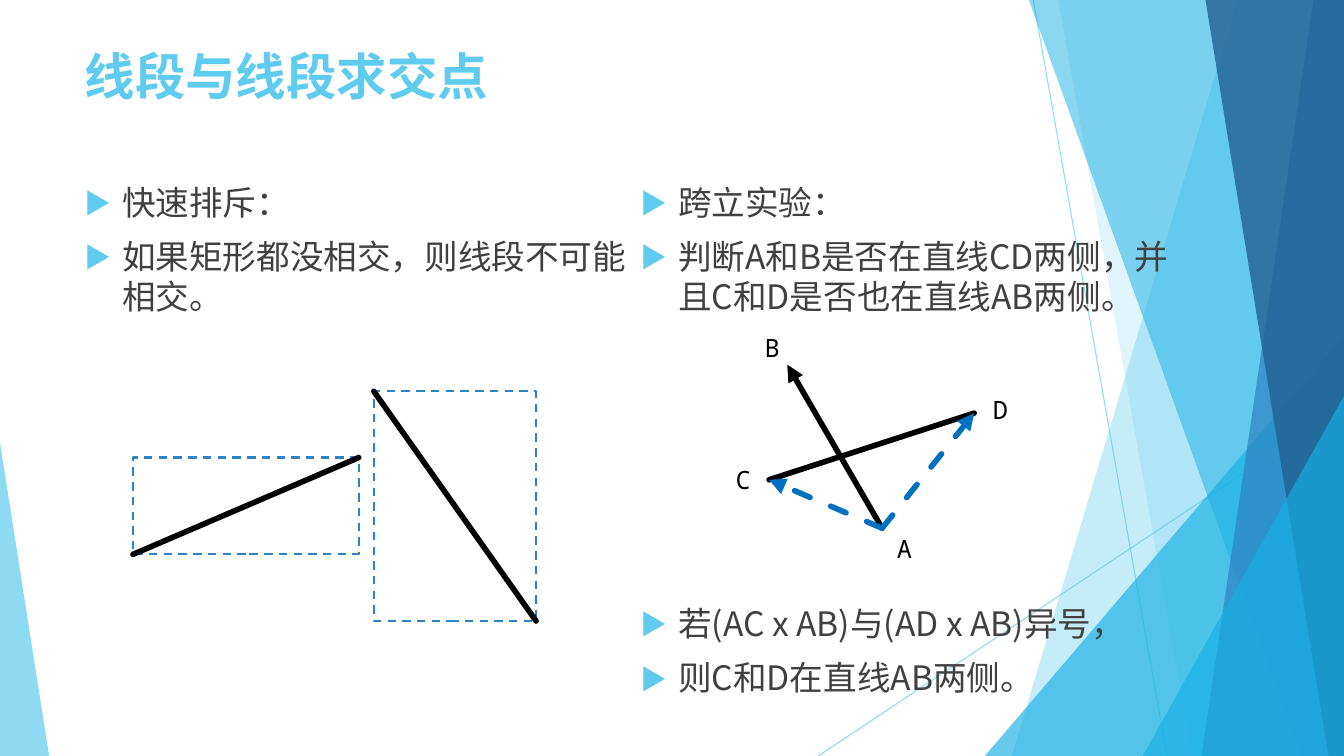
from dataclasses import dataclass

from lxml.etree import SubElement
from pptx import Presentation
from pptx.dml.color import RGBColor
from pptx.enum.dml import MSO_LINE
from pptx.enum.shapes import MSO_CONNECTOR, MSO_SHAPE
from pptx.enum.text import MSO_ANCHOR, PP_ALIGN
from pptx.oxml.ns import qn
from pptx.util import Cm, Pt

# ---- Content (lengths in cm) ----
WIDTH, HEIGHT = 33.87, 19.05
TITLE = "线段与线段求交点"
BODY_WIDTH = 14.51
NOTES = [  # left, top, height, lines
    (1.88, 4.47, 4, ["快速排斥：", "如果矩形都没相交，则线段不可能相交。"]),
    (15.89, 4.47, 4, ["跨立实验：", "判断A和B是否在直线CD两侧，并且C和D是否也在直线AB两侧。"]),
    (15.89, 15.08, 3, ["若(AC x AB)与(AD x AB)异号，", "则C和D在直线AB两侧。"]),
]
BOXES = [  # left, top, width, height, whether the diagonal rises
    (3.35, 11.53, 5.69, 2.44, True),
    (9.42, 9.86, 4.09, 5.79, False),
]
POINTS = {"A": (22.23, 13.31), "B": (19.84, 9.19), "C": (19.38, 12.09), "D": (24.55, 10.41)}
LABELS = {"A": (22.35, 13.31), "B": (19.02, 8.26), "C": (18.29, 11.58), "D": (24.77, 9.8)}


@dataclass(frozen=True)
class Theme:
    accent: str = "5FCBEF"
    bright: str = "17B0E4"
    blue: str = "2E83C3"
    navy: str = "226292"
    vector: str = "0070C0"
    text: str = "404040"
    black: str = "000000"
    white: str = "FFFFFF"
    title_font: str = "Calibri"
    body_font: str = "Noto Sans CJK SC"
    label_font: str = "Noto Sans Mono"
    title_size: float = 36
    body_size: float = 24
    body_line: float = 28.6
    label_size: float = 18


THEME = Theme()

RAYS = [((26.04, 0), (29.41, HEIGHT)), ((WIDTH, 10.24), (20.62, HEIGHT))]
# A band has top and bottom x of its left edge and runs to the right border;
# a peak has left, top, width and the apex position, and stands on the lower border.
BACKDROP = [
    ("band", (31.19, 25.5), THEME.accent, 36),
    ("band", (26.67, 30.05), THEME.accent, 20),
    ("peak", (24.82, 8.46, 9.05, 1), THEME.bright, 66),
    ("band", (25.93, 32.79), THEME.bright, 50),
    ("band", (33.1, 30.28), THEME.blue, 70),
    ("band", (30.38, 33.48), THEME.navy, 80),
    ("peak", (28.8, 9.98, 5.07, 1), THEME.bright, 66),
    ("peak", (0, 11.15, 1.24, 0), THEME.accent, 70),
]


def set_alpha(fill_parent, percent):
    color = next(fill_parent.iter(qn("a:srgbClr")))
    SubElement(color, qn("a:alpha"), val=str(percent * 1000))


def style_font(run, name, size, color, bold=False):
    font = run.font
    font.name, font.size, font.bold = name, Pt(size), bold
    font.color.rgb = RGBColor.from_string(color)


def add_line(shapes, start, end, color, width, dashed=False, arrow=False):
    line = shapes.add_connector(MSO_CONNECTOR.STRAIGHT, *map(Cm, start + end))
    line.line.color.rgb = RGBColor.from_string(color)
    line.line.width = Pt(width)
    if dashed:
        line.line.dash_style = MSO_LINE.DASH
    properties = line.line._get_or_add_ln()
    properties.set("cap", "rnd")
    if arrow:
        SubElement(properties, qn("a:tailEnd"), type="triangle")
    SubElement(line._element.spPr, qn("a:effectLst"))
    return line


def add_backdrop(shapes):
    for start, end in RAYS:
        ray = add_line(shapes, start, end, THEME.accent, 0.75)
        set_alpha(ray.line._get_or_add_ln(), 70)
    for kind, geometry, color, opacity in BACKDROP:
        if kind == "band":
            top_x, bottom_x = geometry
            builder = shapes.build_freeform(Cm(top_x), 0)
            corners = [(WIDTH, 0), (WIDTH, HEIGHT), (bottom_x, HEIGHT)]
            builder.add_line_segments([(Cm(x), Cm(y)) for x, y in corners])
            shape = builder.convert_to_shape()
        else:
            left, top, width, apex = geometry
            shape = shapes.add_shape(MSO_SHAPE.ISOSCELES_TRIANGLE,
                                     *map(Cm, (left, top, width, HEIGHT - top)))
            shape.adjustments[0] = apex
        shape.shadow.inherit = False
        shape.line.fill.background()
        shape.fill.solid()
        shape.fill.fore_color.rgb = RGBColor.from_string(color)
        set_alpha(shape._element.spPr, opacity)


def add_bullet(paragraph):
    properties = paragraph._p.get_or_add_pPr()
    properties.set("marL", str(Cm(0.95)))
    properties.set("indent", str(-Cm(0.95)))
    color = SubElement(properties, qn("a:buClr"))
    SubElement(color, qn("a:srgbClr"), val=THEME.accent)
    SubElement(properties, qn("a:buSzPct"), val="80000")
    SubElement(properties, qn("a:buFont"), typeface=THEME.body_font)
    SubElement(properties, qn("a:buChar"), char="▶")


def add_notes(shapes, left, top, height, lines):
    text_frame = shapes.add_textbox(*map(Cm, (left, top, BODY_WIDTH, height))).text_frame
    text_frame.word_wrap = True
    text_frame.text = "\n".join(lines)
    for paragraph in text_frame.paragraphs:
        paragraph.space_before = Pt(10)
        paragraph.line_spacing = Pt(THEME.body_line)
        add_bullet(paragraph)
        run = paragraph.runs[0]
        style_font(run, THEME.body_font, THEME.body_size, THEME.text)
        SubElement(run.font._element, qn("a:ea"), typeface=THEME.body_font)


def add_boxes(shapes):
    for left, top, width, height, _ in BOXES:
        box = shapes.add_shape(MSO_SHAPE.RECTANGLE, *map(Cm, (left, top, width, height)))
        box.shadow.inherit = False
        box.fill.solid()
        box.fill.fore_color.rgb = RGBColor.from_string(THEME.white)
        box.line.color.rgb = RGBColor.from_string(THEME.blue)
        box.line.width = Pt(1.5)
        box.line.dash_style = MSO_LINE.DASH
    for left, top, width, height, rises in BOXES:
        start_y, end_y = (top + height, top) if rises else (top, top + height)
        add_line(shapes, (left, start_y), (left + width, end_y), THEME.black, 4)


def add_crossing(shapes):
    for ends, color, dashed, arrow in [
        ("AB", THEME.black, False, True),
        ("CD", THEME.black, False, False),
        ("AD", THEME.vector, True, True),
        ("AC", THEME.vector, True, True),
    ]:
        start, end = (POINTS[name] for name in ends)
        add_line(shapes, start, end, color, 4, dashed, arrow)
    for name, (left, top) in LABELS.items():
        text_frame = shapes.add_textbox(*map(Cm, (left, top, 0.87, 1.02))).text_frame
        text_frame.word_wrap = False
        text_frame.text = name
        style_font(text_frame.paragraphs[0].runs[0],
                   THEME.label_font, THEME.label_size, THEME.black)


def main():
    presentation = Presentation()
    presentation.slide_width, presentation.slide_height = Cm(WIDTH), Cm(HEIGHT)
    slide = presentation.slides.add_slide(presentation.slide_layouts[5])
    shapes = slide.shapes

    # Background facets
    add_backdrop(shapes)

    # Title
    title = shapes.title
    title.left, title.top, title.width, title.height = map(Cm, (1.88, 1.02, 23.88, 2.97))
    title.text_frame.text = TITLE
    title.text_frame.vertical_anchor = MSO_ANCHOR.TOP
    paragraph = title.text_frame.paragraphs[0]
    paragraph.alignment = PP_ALIGN.LEFT
    style_font(paragraph.runs[0], THEME.title_font, THEME.title_size, THEME.accent, bold=True)

    # Explanations and diagrams
    for note in NOTES:
        add_notes(shapes, *note)
    add_boxes(shapes)
    add_crossing(shapes)

    presentation.save("out.pptx")


if __name__ == "__main__":
    main()
